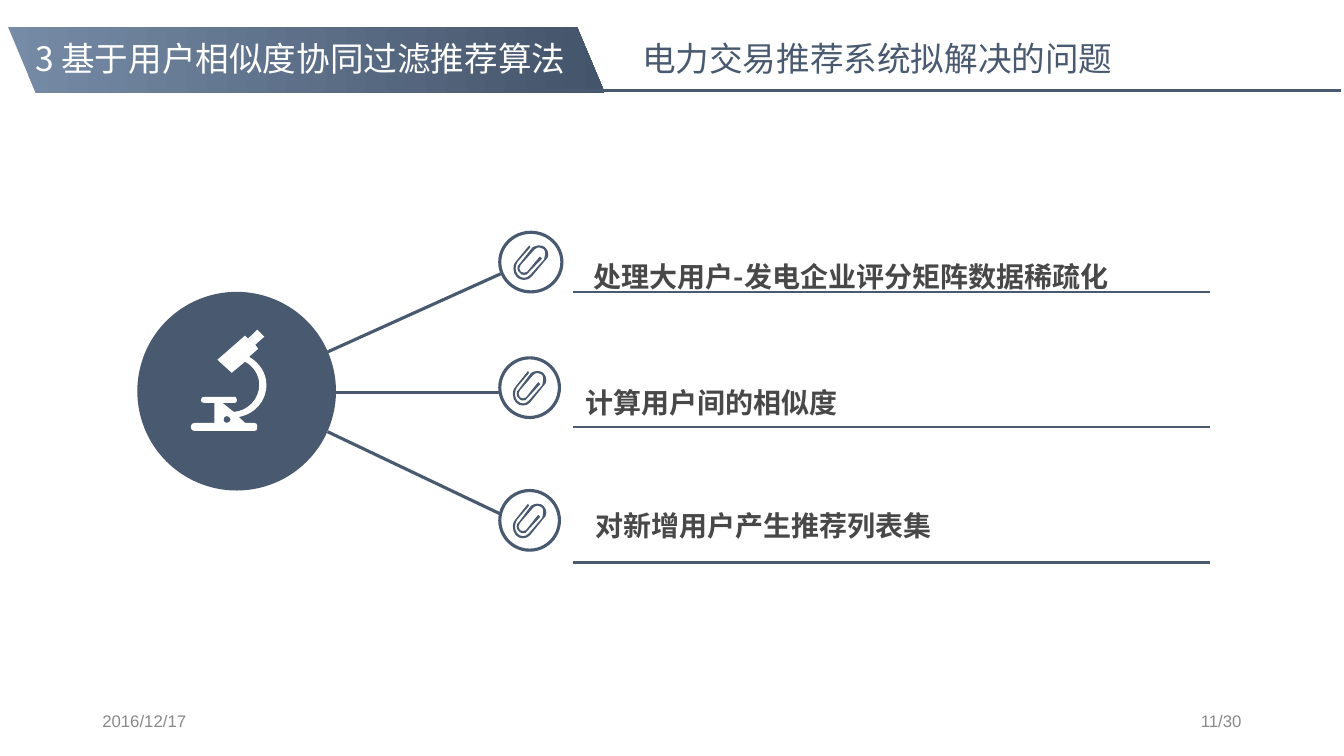
from collections import namedtuple
from dataclasses import dataclass

from lxml.etree import SubElement
from pptx import Presentation
from pptx.dml.color import RGBColor as RGB
from pptx.enum.shapes import MSO_CONNECTOR as CONN, MSO_SHAPE as SHAPE
from pptx.enum.text import MSO_ANCHOR as ANCHOR, MSO_AUTO_SIZE as AUTO, PP_ALIGN as ALIGN
from pptx.oxml.ns import qn
from pptx.util import Inches, Pt

COLS, ROWS = 160, 90
UNIT = Inches(1 / 12)

Box = namedtuple("Box", "x y w h")
Item = namedtuple("Item", "text text_at badge ray_y hub_at")


@dataclass(frozen=True)
class Theme:
    slate: RGB = RGB.from_string("495A70")
    banner_light: RGB = RGB.from_string("768BA6")
    banner_dark: RGB = RGB.from_string("44546A")
    white: RGB = RGB.from_string("FFFFFF")
    body: RGB = RGB.from_string("484848")
    muted: RGB = RGB.from_string("898989")
    cjk: str = "Noto Sans CJK SC"
    latin: str = "Arial"
    title_size: int = 24
    item_size: int = 20
    footer_size: int = 12


T = Theme()

MICROSCOPE = (
    "M 32 90 C 32 91 33 93 35 93 C 37 93 39 91 39 90 C 39 88 37 86 35 86 "
    "C 33 86 32 88 32 90 "
    "M 31 73 L 42 82 C 56 81 67 69 67 55 C 67 45 61 36 53 32 L 40 43 L 26 30 "
    "L 53 6 L 56 9 L 65 0 L 72 7 L 63 15 L 66 19 L 57 27 C 67 33 74 43 74 55 "
    "C 74 71 63 84 47 87 L 53 93 L 62 93 C 64 93 65 94 65 96 L 65 98 "
    "C 65 100 64 101 62 101 L 4 101 C 2 101 0 100 0 98 L 0 96 C 0 94 2 93 4 93 "
    "L 23 93 L 23 73 L 13 73 C 11 73 10 72 10 71 L 10 70 C 10 68 11 67 13 67 "
    "L 43 67 C 44 67 45 68 45 70 L 45 71 C 45 72 44 73 43 73 L 31 73"
)
PAPERCLIP = (
    "M 10 34 C 7 34 5 33 3 31 C 1 29 0 26 0 23 C 0 19 1 17 3 15 L 15 0 L 16 2 "
    "L 4 16 C 3 18 2 20 2 23 C 2 25 3 27 4 29 C 6 31 8 32 10 32 "
    "C 12 32 14 31 16 29 L 29 14 C 30 12 30 11 30 9 C 30 7 30 5 29 4 "
    "C 27 3 26 2 24 2 C 23 2 21 3 20 4 L 7 19 C 5 21 5 24 7 26 "
    "C 8 27 9 27 10 27 C 11 27 12 27 13 26 L 25 11 L 27 13 L 14 27 "
    "C 13 29 12 29 10 29 C 9 29 7 29 6 27 C 3 25 3 20 6 18 L 18 2 "
    "C 20 1 22 0 24 0 C 27 0 29 1 30 2 C 32 4 33 6 33 9 C 33 11 32 14 30 15 "
    "L 17 31 C 15 33 13 34 10 34"
)

ITEMS = [
    Item("处理大用户-发电企业评分矩阵数据稀疏化", (69.5, 29.5), Box(59.5, 27.65, 7.4, 7.1), 32.6, (39, 41.9)),
    Item("计算用户间的相似度", (68.5, 44.5), Box(59.5, 42.6, 7.1, 7.1), 46.75, (39.6, 46.75)),
    Item("对新增用户产生推荐列表集", (69.7, 59.2), Box(59.5, 58.4, 7.1, 7.1), 61.2, (39, 51.4)),
]


def emu(box):
    return [round(v * UNIT) for v in box]


def inside(box, x, y, w, h):
    return Box(box.x + x * box.w, box.y + y * box.h, w * box.w, h * box.h)


def text(s, box, words, size, color, face=T.cjk, bold=False, align=ALIGN.LEFT, spacing=None, middle=False):
    tf = s.shapes.add_textbox(*emu(box)).text_frame
    tf.word_wrap = True
    if middle:
        tf.vertical_anchor = ANCHOR.MIDDLE
    else:
        tf.auto_size = AUTO.SHAPE_TO_FIT_TEXT
    p = tf.paragraphs[0]
    p.text, p.alignment, p.line_spacing = words, align, spacing
    font = p.font
    font.name, font.size, font.bold = face, Pt(size), bold
    font.color.rgb = color
    SubElement(p._p.pPr.find(qn("a:defRPr")), qn("a:ea"), typeface=face)


def line(s, start, end, width):
    c = s.shapes.add_connector(CONN.STRAIGHT, *emu((*start, *end)))
    c.line.color.rgb, c.line.width = T.slate, Pt(width)
    SubElement(c._element.spPr, qn("a:effectLst"))


def ellipse(s, box):
    sp = s.shapes.add_shape(SHAPE.OVAL, *emu(box))
    sp.shadow.inherit = False
    return sp


def contours(path):
    for part in path.split("M")[1:]:
        segments = []
        for words in part.replace("L", "C").split("C"):
            n = list(map(int, words.split()))
            segments.append(list(zip(n[::2], n[1::2])))
        yield segments


def bend(straight, controls):
    straight.tag = qn("a:cubicBezTo")
    for i, (x, y) in enumerate(controls):
        pt = SubElement(straight, qn("a:pt"), x=str(x), y=str(y))
        straight.insert(i, pt)


def icon(s, path, box, size, color):
    scale = box.w * UNIT / size[0], box.h * UNIT / size[1]
    parts = list(contours(path))
    fb = s.shapes.build_freeform(*parts[0][0][0], scale=scale)
    for i, (start, *segments) in enumerate(parts):
        if i:
            fb.move_to(*start[0])
        fb.add_line_segments([points[-1] for points in segments], close=True)
    sp = fb.convert_to_shape(*emu(box[:2]))
    drawn = list(sp._element.iter(qn("a:lnTo")))
    for straight, points in zip(drawn, [points for part in parts for points in part[1:]]):
        if len(points) == 3:
            bend(straight, points[:2])
    sp.shadow.inherit = False
    sp.fill.solid()
    sp.fill.fore_color.rgb = color
    sp.line.fill.background()


def header(s, box):
    banner = s.shapes.add_shape(SHAPE.PARALLELOGRAM, *emu((box.x + 0.95, box.y, 71.05, box.h)))
    banner.shadow.inherit = False
    banner.adjustments[0] = 0.42
    banner._element.spPr.find(qn("a:xfrm")).set("flipV", "1")
    banner.line.fill.background()
    banner.fill.gradient()
    banner.fill.gradient_angle = 0
    for stop, color in zip(banner.fill.gradient_stops, (T.banner_light, T.banner_dark)):
        stop.color.rgb = color
    y = box.y + 0.75
    text(s, Box(box.x + 3, y, 67.1, 6), "3 基于用户相似度协同过滤推荐算法", T.title_size, T.white)
    rule_y = box.y + 7.6
    line(s, (box.x + 60, rule_y), (box.x + box.w, rule_y), 1.75)
    text(s, Box(box.x + 75.25, y, 61.6, 6), "电力交易推荐系统拟解决的问题", T.title_size, T.slate)


def hub(s, box):
    disc = ellipse(s, box)
    disc.fill.solid()
    disc.fill.fore_color.rgb = T.slate
    disc.line.fill.background()
    icon(s, MICROSCOPE, inside(box, 0.27, 0.19, 0.38, 0.51), (74, 101), T.white)


def item_row(s, box, item):
    badge = ellipse(s, item.badge)
    badge.fill.background()
    badge.line.color.rgb, badge.line.width = T.slate, Pt(2.25)
    icon(s, PAPERCLIP, inside(item.badge, 0.22, 0.22, 0.56, 0.58), (33, 34), T.slate)
    line(s, (item.badge.x + 0.1, item.ray_y), item.hub_at, 2.25)
    text(s, Box(*item.text_at, 78.5, 5.7), item.text, T.item_size, T.body, bold=True, spacing=1.2)
    bottom = box.y + box.h
    line(s, (box.x, bottom), (box.x + box.w, bottom), 1.5)


def footer(s, box):
    w = 36
    for x, words, align in ((box.x + box.w - w, "11/30", ALIGN.RIGHT), (box.x, "2016/12/17", ALIGN.LEFT)):
        text(s, Box(x, box.y, w, box.h), words, T.footer_size, T.muted, T.latin, align=align, middle=True)


def main():
    prs = Presentation()
    prs.slide_width, prs.slide_height = COLS * UNIT, ROWS * UNIT
    s = prs.slides.add_slide(prs.slide_layouts[6])
    header(s, Box(0, 3.2, 159.7, 7.9))
    hub(s, Box(16.35, 34.75, 23.65, 23.65))
    row_h = 16.08
    for i, item in enumerate(ITEMS):
        item_row(s, Box(68.2, 18.72 + i * row_h, 75.8, row_h), item)
    footer(s, Box(11, 83.4, 138, 4.8))
    prs.save("out.pptx")


if __name__ == "__main__":
    main()
